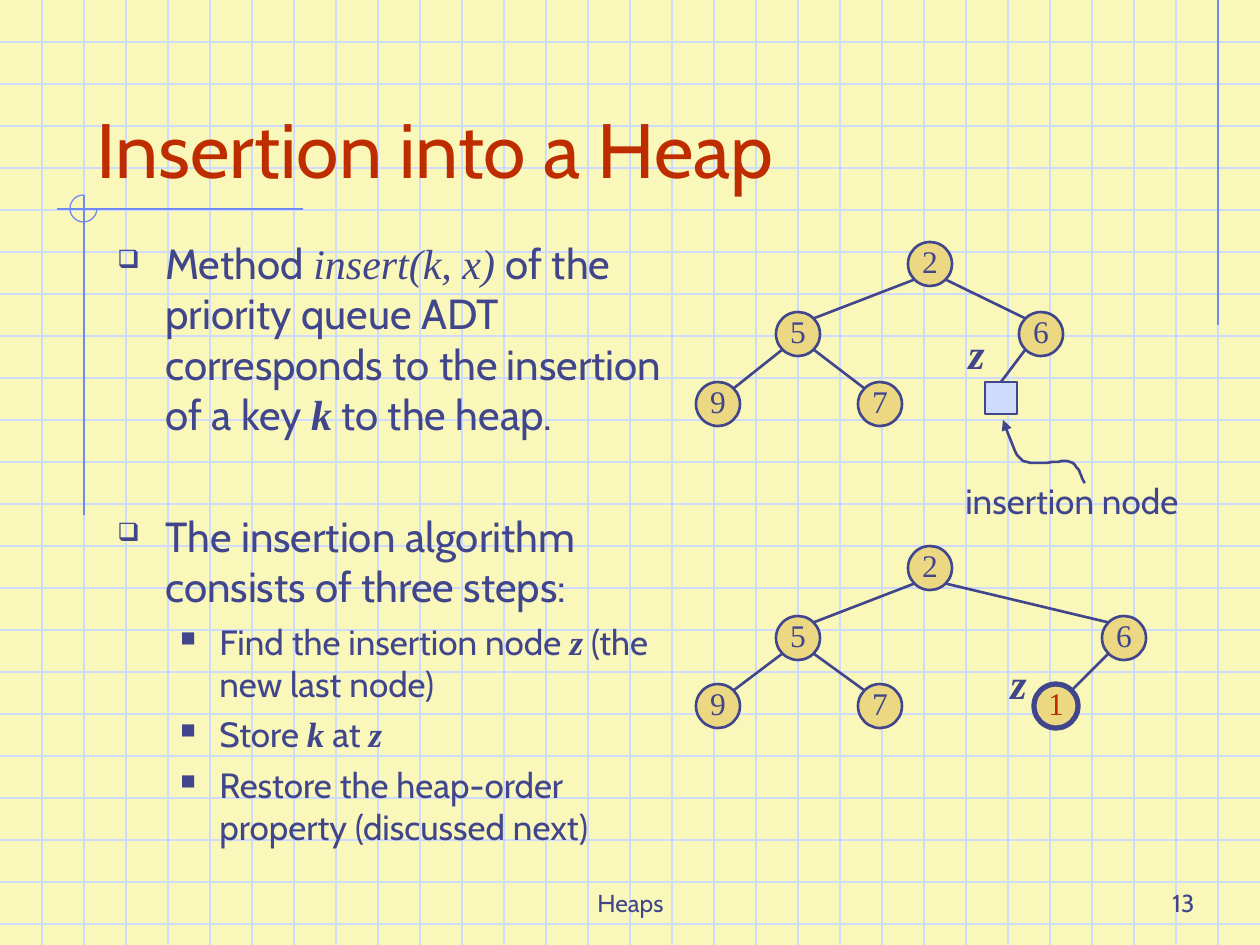
from dataclasses import dataclass
from math import sqrt
from lxml.etree import SubElement
from pptx import Presentation
from pptx.dml.color import RGBColor
from pptx.enum.shapes import MSO_CONNECTOR, MSO_SHAPE
from pptx.enum.text import MSO_ANCHOR, PP_ALIGN
from pptx.oxml.ns import qn
from pptx.util import Pt

UNIT = 914400 / 126
WIDE, HIGH, STEP = 1260, 945, 42
SIZE, SLOT = 44, 32
COLOR = {"paper": "F9F8BA", "grid": "CFDBFD", "rule": "6F89F7",
         "ink": "40458C", "red": "BE2D00", "gold": "ECD882"}
SANS, SERIF = "Cabin", "Times New Roman"
MATH = {"font": SERIF, "italic": True}
NAME = {**MATH, "bold": True}


@dataclass
class Node:
    key: str
    x: int
    y: int
    color: str = "ink"
    weight: float = 1.5


@dataclass
class Item:
    runs: list
    level: int = 0
    gap: int = 5


def px(num: float) -> int:
    return round(num * UNIT)


def rgb(name: str) -> RGBColor:
    return RGBColor.from_string(COLOR[name])


def put(para, text: str, size=24, font=SANS, color="ink", bold=False, italic=False):
    run = para.add_run()
    run.text = text
    face = run.font
    face.size, face.name = Pt(size), font
    face.bold, face.italic = bold, italic
    face.color.rgb = rgb(color)


def box(shapes, x, y, w, h, wrap=False, anchor=MSO_ANCHOR.TOP, align=PP_ALIGN.LEFT):
    frame = shapes.add_textbox(px(x), px(y), px(w), px(h)).text_frame
    frame.word_wrap, frame.vertical_anchor = wrap, anchor
    frame.paragraphs[0].alignment = align
    return frame


def link(shapes, x1, y1, x2, y2, color="ink", weight=1.5):
    line = shapes.add_connector(MSO_CONNECTOR.STRAIGHT, px(x1), px(y1), px(x2), px(y2))
    line.line.color.rgb, line.line.width = rgb(color), Pt(weight)
    SubElement(line._element.spPr, qn("a:effectLst"))
    return line


def shape(shapes, kind, x, y, w, h, fill=None, color="ink", weight=1.5):
    form = shapes.add_shape(kind, px(x), px(y), px(w), px(h))
    form.shadow.inherit = False
    if fill:
        form.fill.solid()
        form.fill.fore_color.rgb = rgb(fill)
    else:
        form.fill.background()
    form.line.color.rgb, form.line.width = rgb(color), Pt(weight)
    return form


def bullet(para, level: int):
    props = para._p.get_or_add_pPr()
    left, hang, mark = ((48, 48, "❑"), (102, 39, "■"))[level]
    props.set("marL", str(px(left)))
    props.set("indent", str(-px(hang)))
    tint = SubElement(props, qn("a:buClr"))
    SubElement(tint, qn("a:srgbClr"), val=COLOR["ink"])
    SubElement(props, qn("a:buSzPct"), val="60000")
    SubElement(props, qn("a:buChar"), char=mark)


def tree(shapes, nodes: list[Node]):
    """Draw nodes in heap order; a node without a key is an empty slot."""
    off = SIZE / 2 / sqrt(2)
    for i, node in enumerate(nodes):
        if node.key:
            form = shape(shapes, MSO_SHAPE.OVAL, node.x - SIZE // 2, node.y - SIZE // 2,
                         SIZE, SIZE, "gold", weight=node.weight)
            frame = form.text_frame
            frame.margin_left = frame.margin_right = frame.margin_top = 0
            frame.margin_bottom, frame.word_wrap = px(6), False
            frame.vertical_anchor = MSO_ANCHOR.MIDDLE
            frame.paragraphs[0].alignment = PP_ALIGN.CENTER
            put(frame.paragraphs[0], node.key, size=18, font=SERIF, color=node.color)
        else:
            form = shape(shapes, MSO_SHAPE.RECTANGLE, node.x - SLOT // 2,
                         node.y - SLOT // 2, SLOT, SLOT, "grid")
        if i:
            top = nodes[(i - 1) // 2]
            side = off if node.x > top.x else -off
            line = link(shapes, top.x + side, top.y + off, node.x - side, node.y - off)
            if not node.key:
                line.end_connect(form, 0)


def curve(points: list, steps=10):
    """Return points along a chain of cubic curves."""
    out = [points[0]]
    for i in range(0, len(points) - 1, 3):
        for n in range(1, steps + 1):
            t = n / steps
            mix = ((1 - t) ** 3, 3 * t * (1 - t) ** 2, 3 * t * t * (1 - t), t ** 3)
            out.append(tuple(sum(m * p[k] for m, p in zip(mix, points[i:i + 4]))
                             for k in (0, 1)))
    return out


def main():
    deck = Presentation()
    deck.slide_width, deck.slide_height = px(WIDE), px(HIGH)
    slide = deck.slides.add_slide(deck.slide_layouts[5])
    slide.background.fill.solid()
    slide.background.fill.fore_color.rgb = rgb("paper")
    shapes = slide.shapes

    # Grid paper and margin rules
    grid = shapes.add_group_shape().shapes
    for y in range(STEP, HIGH, STEP):
        link(grid, 0, y, WIDE, y, "grid", 0.75)
    for x in range(STEP, WIDE, STEP):
        link(grid, x, 0, x, HIGH, "grid", 0.75)
    for ends in ((1218, 0, 1218, 325), (303, 209, 57, 209), (84, 195, 84, 515)):
        link(grid, *ends, "rule", 0.75)
    arc = shape(grid, MSO_SHAPE.ARC, 70, 195, 27, 27, color="rule", weight=0.75)
    arc.adjustments[0], arc.adjustments[1] = 0, 162

    # Title, raised above the grid
    title = shapes.title
    title.left, title.top, title.width, title.height = map(px, (84, 42, 1081, 158))
    title.text_frame.vertical_anchor = MSO_ANCHOR.BOTTOM
    head = title.text_frame.paragraphs[0]
    head.alignment = PP_ALIGN.LEFT
    put(head, "Insertion into a Heap", size=44, color="red")
    shapes.element.append(title.element)

    # Footer
    for text, x, w, align in (("Heaps", 431, 399, PP_ALIGN.CENTER),
                              ("13", 945, 262, PP_ALIGN.RIGHT)):
        frame = box(shapes, x, 861, w, 63, True, MSO_ANCHOR.BOTTOM, align)
        put(frame.paragraphs[0], text, size=14)

    # Bulleted text
    items = [
        Item([("Method ", {}), ("insert(k, x) ", MATH),
              ("of the priority queue ADT corresponds to the insertion of a key ", {}),
              ("k", NAME), (" to the heap.", {})], gap=0),
        Item([("The insertion algorithm consists of three steps:", {})], gap=41),
        Item([("Find the insertion node ", {}), ("z", NAME),
              (" (the new last node)", {})], 1),
        Item([("Store ", {}), ("k", NAME), (" at ", {}), ("z", NAME)], 1),
        Item([("Restore the heap-order property (discussed next)", {})], 1),
    ]
    body = box(shapes, 105, 231, 577, 672, wrap=True)
    for i, item in enumerate(items):
        para = body.add_paragraph() if i else body.paragraphs[0]
        para.level = item.level
        bullet(para, item.level)
        para.space_before = Pt(item.gap)
        for text, style in item.runs:
            put(para, text, size=(24, 20)[item.level], **style)

    # Heap before and after the insertion
    tree(shapes, [Node("2", 930, 264), Node("5", 798, 334), Node("6", 1041, 334),
                  Node("9", 718, 404), Node("7", 880, 404), Node("", 1001, 398)])
    tree(shapes.add_group_shape().shapes,
         [Node("2", 930, 568), Node("5", 798, 638), Node("6", 1124, 638),
          Node("9", 718, 706), Node("7", 880, 706), Node("1", 1056, 706, "red", 3)])

    # Labels and curved arrow
    for x, y in ((956, 321), (998, 651)):
        put(box(shapes, x, y, 42, 63).paragraphs[0], "z", **NAME)
    put(box(shapes, 953, 473, 265, 55).paragraphs[0], "insertion node", size=20)
    first, *rest = curve([(1085, 483), (1082, 480), (1080, 466), (1070, 462), (1060, 459),
                          (1034, 467), (1023, 461), (1013, 454), (1007, 428), (1003, 420)])
    pen = shapes.build_freeform(*first, scale=UNIT)
    pen.add_line_segments(rest, close=False)
    arrow = pen.convert_to_shape()
    arrow.shadow.inherit = False
    arrow.fill.background()
    arrow.line.color.rgb, arrow.line.width = rgb("ink"), Pt(1.5)
    SubElement(arrow.line._get_or_add_ln(), qn("a:tailEnd"), type="triangle")

    deck.save("out.pptx")


if __name__ == "__main__":
    main()
